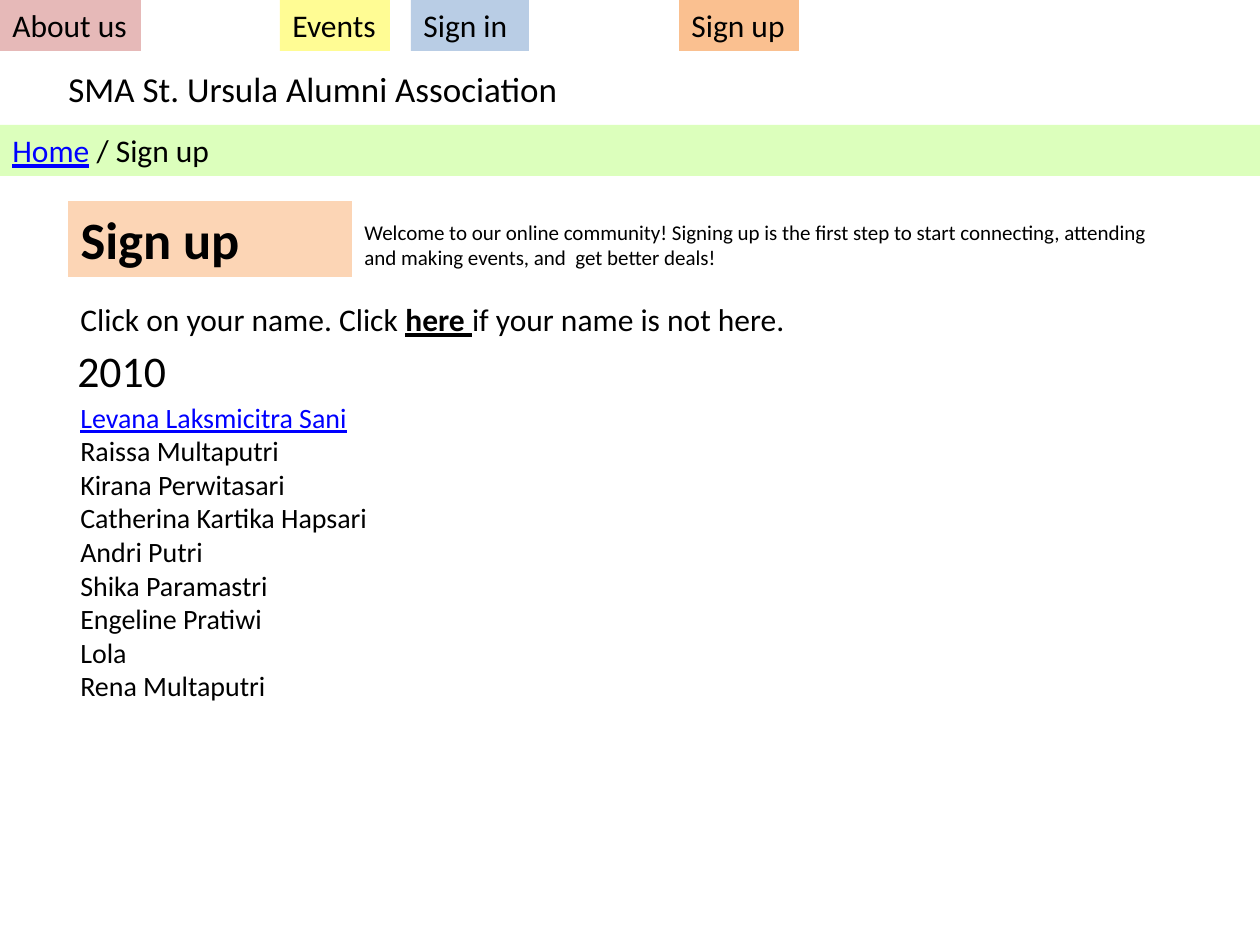
from dataclasses import dataclass

from lxml.etree import SubElement
from pptx import Presentation
from pptx.dml.color import RGBColor as RGB
from pptx.enum.shapes import MSO_SHAPE as Shape
from pptx.enum.text import MSO_ANCHOR as Anchor, MSO_AUTO_SIZE as Auto, PP_ALIGN as Align
from pptx.oxml.ns import qn
from pptx.util import Emu, Pt

SCALE = 914400 / 126  # EMU in one px
FONT = "Calibri"
HUES = {
    "text": "000000", "link": "0000FF", "head": "FCD5B5", "trail": "A3FF4F",
    "about": "E6B9B8", "events": "FFFC94", "sign in": "B9CDE5", "sign up": "FAC090",
}


@dataclass(frozen=True)
class Run:
    text: str
    hue: str = "text"
    bold: bool = False
    line: bool = False


@dataclass(frozen=True)
class Box:
    left: int
    top: int
    width: int
    height: int
    size: int
    lines: list[list[Run]]
    fill: str = ""
    wrap: bool = True
    alpha: int = 100
    fit: Auto = Auto.SHAPE_TO_FIT_TEXT


def px(num: int) -> Emu:
    return Emu(round(num * SCALE))


def link(text: str) -> Run:
    return Run(text, hue="link", line=True)


def tab(left: int, width: int, text: str, hue: str) -> Box:
    return Box(left, 0, width, 51, 18, [[Run(text)]], fill=hue, wrap=False)


def paint(shape, hue: str, alpha: int) -> None:
    shape.fill.solid()
    shape.fill.fore_color.rgb = RGB.from_string(HUES[hue])
    if alpha < 100:
        tone = shape.fill._xPr.find(qn("a:solidFill"))[0]
        SubElement(tone, qn("a:alpha"), val=str(alpha * 1000))


def write(frame, box: Box) -> None:
    frame.word_wrap = box.wrap
    frame.auto_size = box.fit
    frame.vertical_anchor = Anchor.TOP
    for i, line in enumerate(box.lines):
        para = frame.add_paragraph() if i else frame.paragraphs[0]
        para.alignment = Align.LEFT
        for item in line:
            run = para.add_run()
            run.text = item.text
            font = run.font
            font.name, font.size = FONT, Pt(box.size)
            font.bold, font.underline = item.bold, item.line
            font.color.rgb = RGB.from_string(HUES[item.hue])


def draw(slide, box: Box) -> None:
    area = [px(n) for n in (box.left, box.top, box.width, box.height)]
    if box.fill:
        shape = slide.shapes.add_shape(Shape.RECTANGLE, *area)
        shape.shadow.inherit = False
        shape.line.fill.background()
        paint(shape, box.fill, box.alpha)
    else:
        shape = slide.shapes.add_textbox(*area)
    write(shape.text_frame, box)


def head(slide, box: Box) -> None:
    """Move, fill and write the title placeholder."""
    title = slide.shapes.title
    title.left, title.top = px(box.left), px(box.top)
    title.width, title.height = px(box.width), px(box.height)
    paint(title, box.fill, box.alpha)
    write(title.text_frame, box)


NAMES = [
    "Raissa Multaputri", "Kirana Perwitasari", "Catherina Kartika Hapsari",
    "Andri Putri", "Shika Paramastri", "Engeline Pratiwi", "Lola",
    "Rena Multaputri",
]
# A placeholder that fits its text keeps the layout's height, so this one is fixed.
TITLE = Box(68, 201, 284, 76, 30, [[Run("Sign up", bold=True)]], fill="head",
            fit=Auto.NONE)
BOXES = [
    Box(352, 213, 813, 63, 12, [[Run(
        "Welcome to our online community! Signing up is the first step to start "
        "connecting, attending and making events, and  get better deals!")]]),
    Box(0, 125, 1320, 51, 18, [[link("Home"), Run(" / Sign up")]],
        fill="trail", alpha=38),
    Box(65, 338, 615, 66, 25, [[Run("2010")]]),
    Box(68, 394, 316, 352, 16,
        [[link("Levana Laksmicitra Sani")], *([Run(name)] for name in NAMES)],
        wrap=False),
    Box(56, 61, 532, 55, 20, [[Run("SMA St. Ursula Alumni Association")]]),
    tab(0, 141, "About us", "about"),
    tab(280, 110, "Events", "events"),
    tab(411, 118, "Sign in", "sign in"),
    tab(679, 120, "Sign up", "sign up"),
    Box(68, 294, 737, 51, 18, [[
        Run("Click on your name. Click "),
        Run("here ", bold=True, line=True),
        Run("if your name is not here."),
    ]], wrap=False),
]


def main() -> None:
    deck = Presentation()
    deck.slide_width, deck.slide_height = px(1260), px(945)
    slide = deck.slides.add_slide(deck.slide_layouts[5])
    head(slide, TITLE)
    for box in BOXES:
        draw(slide, box)
    deck.save("out.pptx")


if __name__ == "__main__":
    main()
